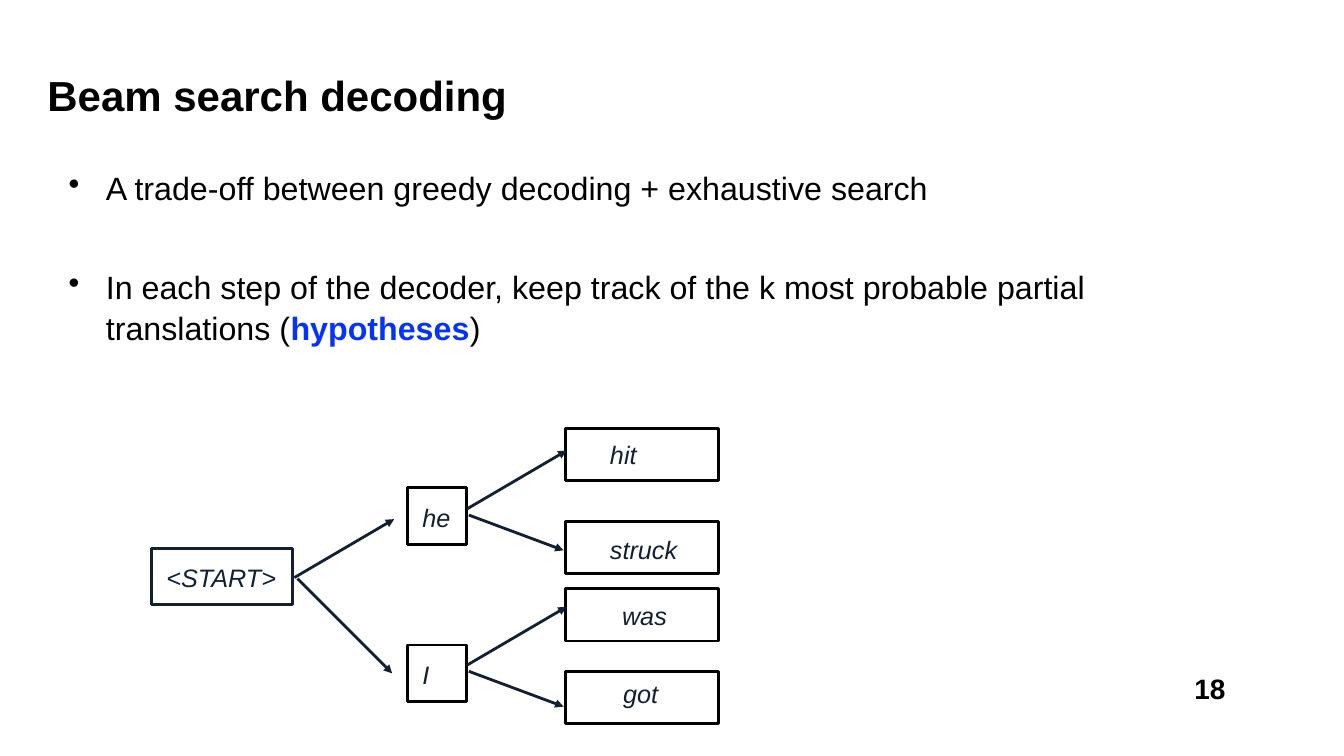
"""Build the slide on beam search decoding with its hypothesis tree."""
import pptx
import pptx.util
import pptx.dml.color
import pptx.enum.shapes
import pptx.enum.text
import lxml.etree

Inches = pptx.util.Inches
Pt = pptx.util.Pt
ALIGN = pptx.enum.text.PP_ALIGN
ANCHOR = pptx.enum.text.MSO_ANCHOR

THEME = {
    "font": "Arial", "black": "000000", "ink": "131F33", "blue": "0433FF",
    "title": 30, "body": 23, "node": 18, "number": 20, "line": 2,
}

TITLE = "Beam search decoding"
PAGE_NUMBER = "18"
POINTS = [
    [("A trade-off between greedy decoding + exhaustive search", False)],
    [("In each step of the decoder, keep track of the k most probable partial translations (", False),
     ("hypotheses", True), (")", False)],
]

WORD_X, WORD_W, WORD_H = 5.61, 1.52, 0.52
STEP_X, STEP_W, STEP_H = 4.04, 0.59, 0.56
NODES = [
    ("<START>", (1.5, 5.44, 1.4, 0.56), (0.1, 0.09, 1.2), "ink"),
    ("he", (STEP_X, 4.84, STEP_W, STEP_H), (0.1, 0.09, 0.39), "black"),
    ("I", (STEP_X, 6.4, STEP_W, STEP_H), (0.1, 0.09, 0.18), "black"),
    ("hit", (WORD_X, 4.25, WORD_W, WORD_H), (0.39, 0.06, 0.38), "black"),
    ("struck", (WORD_X, 5.17, WORD_W, WORD_H), (0.39, 0.08, 0.78), "black"),
    ("was", (WORD_X, 5.84, WORD_W, WORD_H), (0.51, 0.07, 0.56), "black"),
    ("got", (WORD_X, 6.66, WORD_W, WORD_H), (0.52, 0.02, 0.46), "black"),
]
LABEL_H = 0.38

RISE = (0.99, -0.58)
BRANCHES = [
    ((2.92, 5.73), RISE), ((2.95, 5.74), (0.94, 0.94)),
    ((4.63, 5.05), RISE), ((4.65, 5.11), (0.94, 0.35)),
    ((4.63, 6.6), RISE), ((4.65, 6.66), (0.94, 0.35)),
]


def color(name):
    return pptx.dml.color.RGBColor.from_string(THEME[name])


def add_run(paragraph, text, size="body", ink="black", bold=False, italic=False):
    run = paragraph.add_run()
    run.text = text
    run.font.name = THEME["font"]
    run.font.size = Pt(THEME[size])
    run.font.bold = bold
    run.font.italic = italic
    run.font.color.rgb = color(ink)


def add_text(slide, text, box, wrap=False, inset=0.05, align=ALIGN.LEFT,
             anchor=ANCHOR.TOP, **run_format):
    frame = slide.shapes.add_textbox(*map(Inches, box)).text_frame
    frame.word_wrap = wrap
    frame.vertical_anchor = anchor
    frame.margin_left = frame.margin_right = Inches(inset)
    frame.margin_top = frame.margin_bottom = Inches(inset)
    frame.paragraphs[0].alignment = align
    if text:
        add_run(frame.paragraphs[0], text, **run_format)
    return frame


def add_points(slide):
    frame = add_text(slide, "", (0.63, 1.6, 11.79, 5.47), wrap=True)
    for index, point in enumerate(POINTS):
        paragraph = frame.add_paragraph() if index else frame.paragraphs[0]
        properties = paragraph._p.get_or_add_pPr()
        properties.set("marL", str(Inches(0.37)))
        properties.set("indent", str(Inches(-0.37)))
        bullet = lxml.etree.SubElement(properties, pptx.oxml.ns.qn("a:buChar"))
        bullet.set("char", "•")
        paragraph.line_spacing = 1.05
        if index:
            paragraph.space_before = Pt(42)
        for text, key in point:
            add_run(paragraph, text, ink="blue" if key else "black", bold=key)


def add_node(slide, word, box, label, outline):
    frame = slide.shapes.add_shape(
        pptx.enum.shapes.MSO_SHAPE.RECTANGLE, *map(Inches, box))
    frame.shadow.inherit = False
    frame.fill.background()
    frame.line.color.rgb = color(outline)
    frame.line.width = Pt(THEME["line"])
    dx, dy, width = label
    add_text(slide, word, (box[0] + dx, box[1] + dy, width, LABEL_H),
             size="node", ink="ink", italic=True)


def add_branch(slide, start, step):
    end = (start[0] + step[0], start[1] + step[1])
    branch = slide.shapes.add_connector(
        pptx.enum.shapes.MSO_CONNECTOR.STRAIGHT, *map(Inches, start + end))
    branch.line.color.rgb = color("ink")
    branch.line.width = Pt(THEME["line"])
    head = lxml.etree.SubElement(branch.line._get_or_add_ln(), pptx.oxml.ns.qn("a:tailEnd"))
    head.set("type", "triangle")
    lxml.etree.SubElement(branch._element.spPr, pptx.oxml.ns.qn("a:effectLst"))


def main():
    deck = pptx.Presentation()
    deck.slide_width, deck.slide_height = Inches(13.33), Inches(7.5)
    slide = deck.slides.add_slide(deck.slide_layouts[6])
    add_text(slide, TITLE, (0.42, 0.58, 11.54, 0.72), wrap=True,
             anchor=ANCHOR.MIDDLE, size="title", bold=True)
    add_text(slide, PAGE_NUMBER, (11.8, 6.62, 0.4, 0.39), inset=0.04,
             align=ALIGN.CENTER, size="number", bold=True)
    add_points(slide)
    for node in NODES:
        add_node(slide, *node)
    for branch in BRANCHES:
        add_branch(slide, *branch)
    deck.save("out.pptx")


if __name__ == "__main__":
    main()
